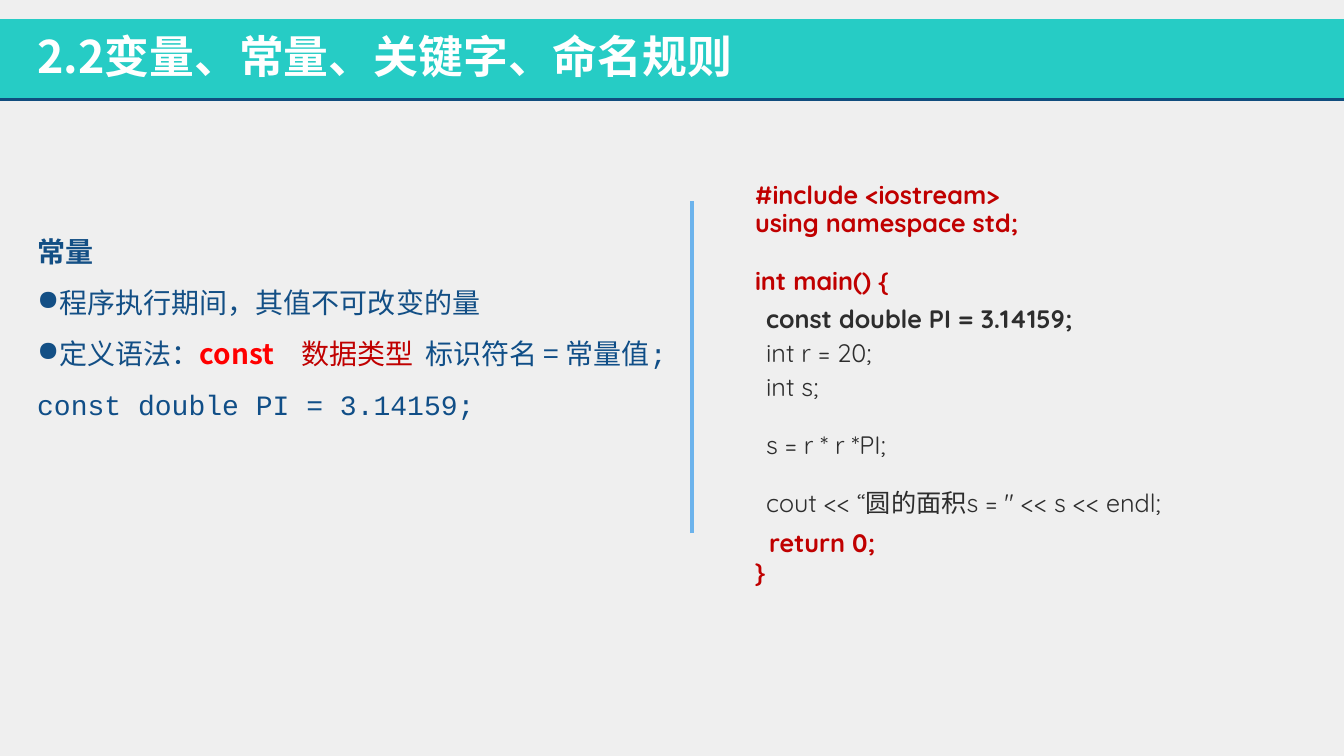
from dataclasses import dataclass

from lxml.etree import SubElement
from pptx import Presentation
from pptx.dml.color import RGBColor
from pptx.enum.shapes import MSO_CONNECTOR, MSO_SHAPE
from pptx.enum.text import MSO_ANCHOR
from pptx.oxml.ns import qn
from pptx.util import Inches, Pt

COLORS = {
    "background": "EFEFEF", "band": "26CCC5", "band_edge": "104D7E",
    "divider": "6CB3EC", "white": "FFFFFF", "frame_code": "C00000",
    "body_code": "2D2D2D", "blue": "134F85", "syntax": "104E87",
    "keyword": "FF0000",
}
TITLE_FONT = "Noto Sans CJK JP"
BODY_FONT = "Noto Sans CJK SC"
CODE_FONT = "Quicksand"
MONO_FONT = "Courier New"
CODE_GAP = 2.8    # points before a code line
BLOCK_GAP = 24    # points before a new block of code
BODY_GAP = 170    # points left for the body of main()


@dataclass
class Run:
    text: str
    color: str
    bold: bool = False
    font: str = BODY_FONT
    size: float = 20


@dataclass
class Para:
    runs: list[Run]
    before: float = 0
    spacing: object = 1.0
    bullet: str = ""
    tabs: tuple[float, ...] = ()


@dataclass
class Box:
    left: float
    top: float
    width: float
    height: float
    paras: list[Para]
    anchor: object = MSO_ANCHOR.TOP


@dataclass
class Line:
    start: tuple[float, float]
    end: tuple[float, float]
    color: str
    width: float


def rgb(name: str) -> RGBColor:
    return RGBColor.from_string(COLORS[name])


def code(text: str, color: str, bold: bool, before: float = CODE_GAP,
         spacing: float = 1.0) -> Para:
    return Para([Run(text, color, bold, CODE_FONT, 18)], before, spacing)


def frame(text: str, before: float = CODE_GAP) -> Para:
    """A line of the red program frame."""
    return code(text, "frame_code", True, before, 0.8)


def note(*runs: Run, bullet: str = "", tabs: tuple[float, ...] = ()) -> Para:
    """A line of the explanation on the left."""
    return Para(list(runs), 0, Pt(36.5), bullet, tabs)


def add_run(p, run: Run) -> None:
    r = p.add_run()
    r.text = run.text
    r.font.name = run.font
    r.font.size = Pt(run.size)
    r.font.bold = run.bold
    r.font.color.rgb = rgb(run.color)
    SubElement(r.font._element, qn("a:ea")).set("typeface", run.font)


def fill_para(p, para: Para) -> None:
    pPr = p._p.get_or_add_pPr()
    if para.bullet:
        SubElement(pPr, qn("a:buChar")).set("char", para.bullet)
    if para.tabs:
        tab_list = SubElement(pPr, qn("a:tabLst"))
        for pos in para.tabs:
            tab = SubElement(tab_list, qn("a:tab"))
            tab.set("pos", str(Inches(pos)))
            tab.set("algn", "l")
    p.line_spacing = para.spacing
    p.space_before = Pt(para.before)
    for run in para.runs:
        add_run(p, run)


def add_box(s, box: Box) -> None:
    sp = s.shapes.add_textbox(Inches(box.left), Inches(box.top),
                              Inches(box.width), Inches(box.height))
    tf = sp.text_frame
    tf.word_wrap = True
    tf.vertical_anchor = box.anchor
    for i, para in enumerate(box.paras):
        fill_para(tf.add_paragraph() if i else tf.paragraphs[0], para)


def add_line(s, line: Line) -> None:
    cxn = s.shapes.add_connector(MSO_CONNECTOR.STRAIGHT,
                                 *map(Inches, line.start + line.end))
    cxn.line.color.rgb = rgb(line.color)
    cxn.line.width = Pt(line.width)
    SubElement(cxn._element.spPr, qn("a:effectLst"))


def add_band(s) -> None:
    sp = s.shapes.add_shape(MSO_SHAPE.RECTANGLE, Inches(0), Inches(0.19),
                            Inches(13.33), Inches(0.8))
    sp.shadow.inherit = False
    sp.fill.solid()
    sp.fill.fore_color.rgb = rgb("band")
    sp.line.fill.background()


LINES = [
    Line((0, 0.99), (13.33, 0.99), "band_edge", 2),
    Line((6.86, 5.29), (6.86, 1.99), "divider", 3),
]
TITLE = Box(0.27, 0.23, 7.61, 0.64, [
    Para([Run("2.2变量、常量、关键字、命名规则", "white", True, TITLE_FONT, 32)]),
], MSO_ANCHOR.MIDDLE)
PROGRAM_FRAME = Box(7.39, 1.79, 3.41, 4.46, [
    frame("#include <iostream>", 0),
    frame("using namespace std;"),
    frame("int main() {", BLOCK_GAP),
    frame("  return 0;", BODY_GAP),
    frame("}"),
])
PROGRAM_BODY = Box(7.5, 2.96, 4.85, 2.34, [
    code("const double PI = 3.14159;", "body_code", True, 0),
    code("int r = 20;", "body_code", False),
    code("int s;", "body_code", False),
    code("s = r * r *PI;", "body_code", False, BLOCK_GAP, 0.8),
    code("cout << “圆的面积s = \" << s << endl;", "body_code", False,
         BLOCK_GAP, 0.8),
])
NOTES = Box(0.27, 2.1, 7.12, 3.07, [
    note(Run("常量", "blue", True)),
    note(Run("程序执行期间，其值不可改变的量", "blue"), bullet="●"),
    note(Run("定义语法：", "blue"), Run("const\t", "keyword", True),
         Run("数据类型\t", "frame_code"), Run("标识符名 = 常量值", "syntax"),
         Run(";", "syntax", font=MONO_FONT), bullet="●", tabs=(2.62, 3.85)),
    note(Run("const double PI = 3.14159;", "syntax", font=MONO_FONT)),
])


def main() -> None:
    prs = Presentation()
    prs.slide_width, prs.slide_height = Inches(13.33), Inches(7.5)
    s = prs.slides.add_slide(prs.slide_layouts[6])
    s.background.fill.solid()
    s.background.fill.fore_color.rgb = rgb("background")
    add_band(s)
    for line in LINES:
        add_line(s, line)
    for box in (TITLE, PROGRAM_FRAME, PROGRAM_BODY, NOTES):
        add_box(s, box)
    prs.save("out.pptx")


if __name__ == "__main__":
    main()
